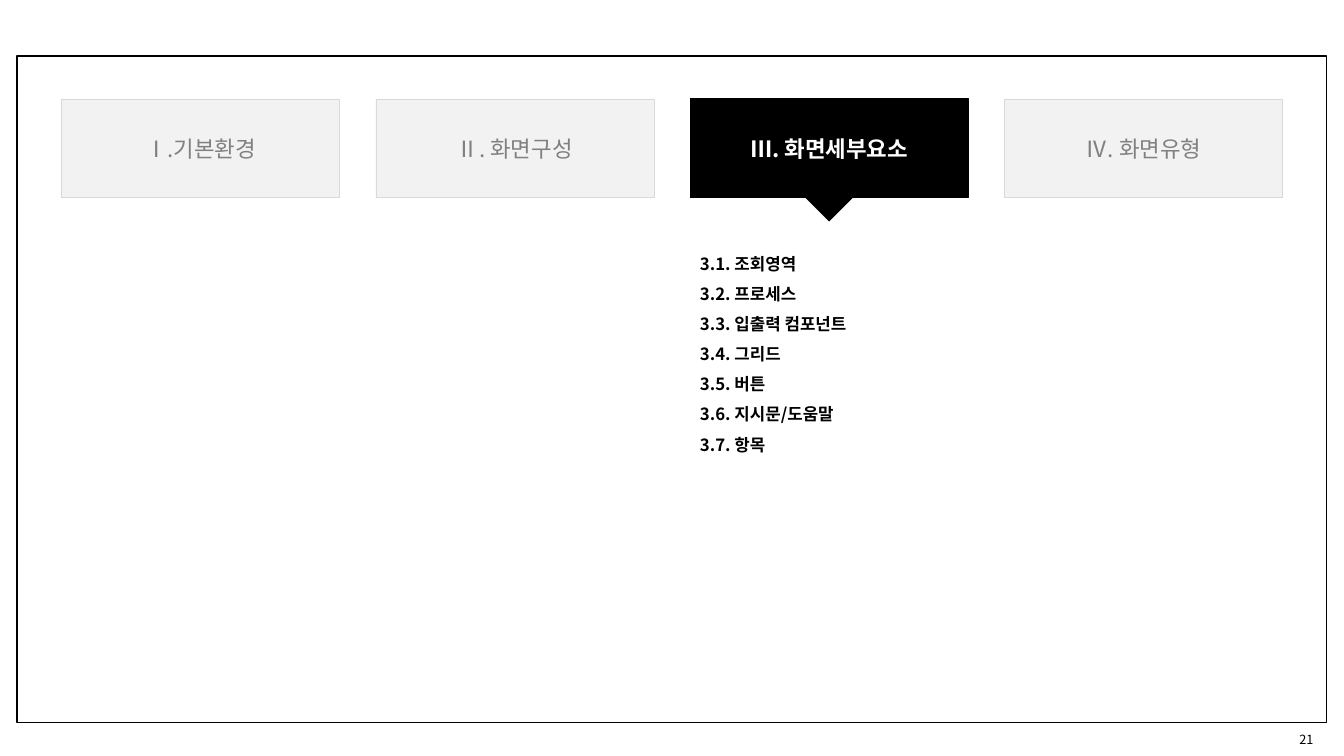
from lxml import etree
from pptx import Presentation
from pptx.dml.color import RGBColor
from pptx.enum import shapes, text
from pptx.oxml.ns import qn
from pptx.util import Cm, Pt

BLACK = RGBColor(0, 0, 0)
WHITE = RGBColor(0xFF, 0xFF, 0xFF)
GREY_TEXT = RGBColor(0x80, 0x80, 0x80)
GREY_LINE = RGBColor(0xD9, 0xD9, 0xD9)
GREY_FILL = RGBColor(0xF2, 0xF2, 0xF2)
FONT = "Noto Sans CJK KR"

TABS = ["Ⅰ.기본환경", "Ⅱ. 화면구성", "Ⅲ. 화면세부요소", "Ⅳ. 화면유형"]
ACTIVE = 2
TOPICS = ["조회영역", "프로세스", "입출력 컴포넌트", "그리드", "버튼",
          "지시문/도움말", "항목"]

TAB_LEFT, TAB_TOP, TAB_PITCH = 1.55, 2.49, 7.92
TAB_W, TAB_H = 7.01, 2.49


def add_run(p, content, size, color, bold=False):
    r = p.add_run()
    r.text = content
    r.font.name = FONT
    r.font.size = Pt(size)
    r.font.bold = bold
    r.font.color.rgb = color
    ea = etree.Element(qn("a:ea"), typeface=FONT)
    r.font._element.find(qn("a:latin")).addnext(ea)


def add_box(s, kind, left, top, width, height, fill=None, line=None, weight=0.75):
    sp = s.shapes.add_shape(kind, Cm(left), Cm(top), Cm(width), Cm(height))
    sp.shadow.inherit = False
    if fill is None:
        sp.fill.background()
    else:
        sp.fill.solid()
        sp.fill.fore_color.rgb = fill
    if line is None:
        sp.line.fill.background()
    else:
        sp.line.color.rgb = line
        sp.line.width = Pt(weight)
    return sp


def add_text(s, left, top, width, height):
    tf = s.shapes.add_textbox(Cm(left), Cm(top), Cm(width), Cm(height)).text_frame
    tf.word_wrap = True
    return tf


def add_tab(s, index, label):
    active = index == ACTIVE
    fill, line, weight, color = ((BLACK, BLACK, 0.75, WHITE) if active
                                 else (GREY_FILL, GREY_LINE, 0.25, GREY_TEXT))
    sp = add_box(s, shapes.MSO_SHAPE.RECTANGLE, TAB_LEFT + index * TAB_PITCH,
                 TAB_TOP, TAB_W, TAB_H, fill, line, weight)
    tf = sp.text_frame
    tf.vertical_anchor = text.MSO_ANCHOR.MIDDLE
    p = tf.paragraphs[0]
    p.alignment = text.PP_ALIGN.CENTER
    add_run(p, label, 16, color, active)


def add_topics(s, left, top):
    tf = add_text(s, left, top, TAB_W, 5.54)
    for i, topic in enumerate(TOPICS, 1):
        p = tf.paragraphs[0] if i == 1 else tf.add_paragraph()
        p.line_spacing = Pt(21.5)
        add_run(p, f"3.{i}. {topic}", 12, BLACK, True)


def add_page_number(s, number):
    tf = add_text(s, 31.6, 18.24, 1.75, 0.79)
    tf.vertical_anchor = text.MSO_ANCHOR.MIDDLE
    p = tf.paragraphs[0]
    p.alignment = text.PP_ALIGN.RIGHT
    add_run(p, number, 9, BLACK)


def main():
    prs = Presentation()
    prs.slide_width, prs.slide_height = Cm(33.87), Cm(19.05)
    s = prs.slides.add_slide(prs.slide_layouts[6])

    # Page frame and number
    add_box(s, shapes.MSO_SHAPE.RECTANGLE, 0.43, 1.42, 33, 16.79,
            line=BLACK, weight=1.3)
    add_page_number(s, "21")

    # Chapter tabs
    for i, label in enumerate(TABS):
        add_tab(s, i, label)

    # Pointer and topics under the active tab
    active_left = TAB_LEFT + ACTIVE * TAB_PITCH
    pointer_w = 1.34
    pointer = add_box(s, shapes.MSO_SHAPE.ISOSCELES_TRIANGLE,
                      active_left + (TAB_W - pointer_w) / 2, 4.91,
                      pointer_w, 0.67, BLACK)
    pointer.rotation = 180
    add_topics(s, active_left, 6.02)

    prs.save("out.pptx")


if __name__ == "__main__":
    main()
